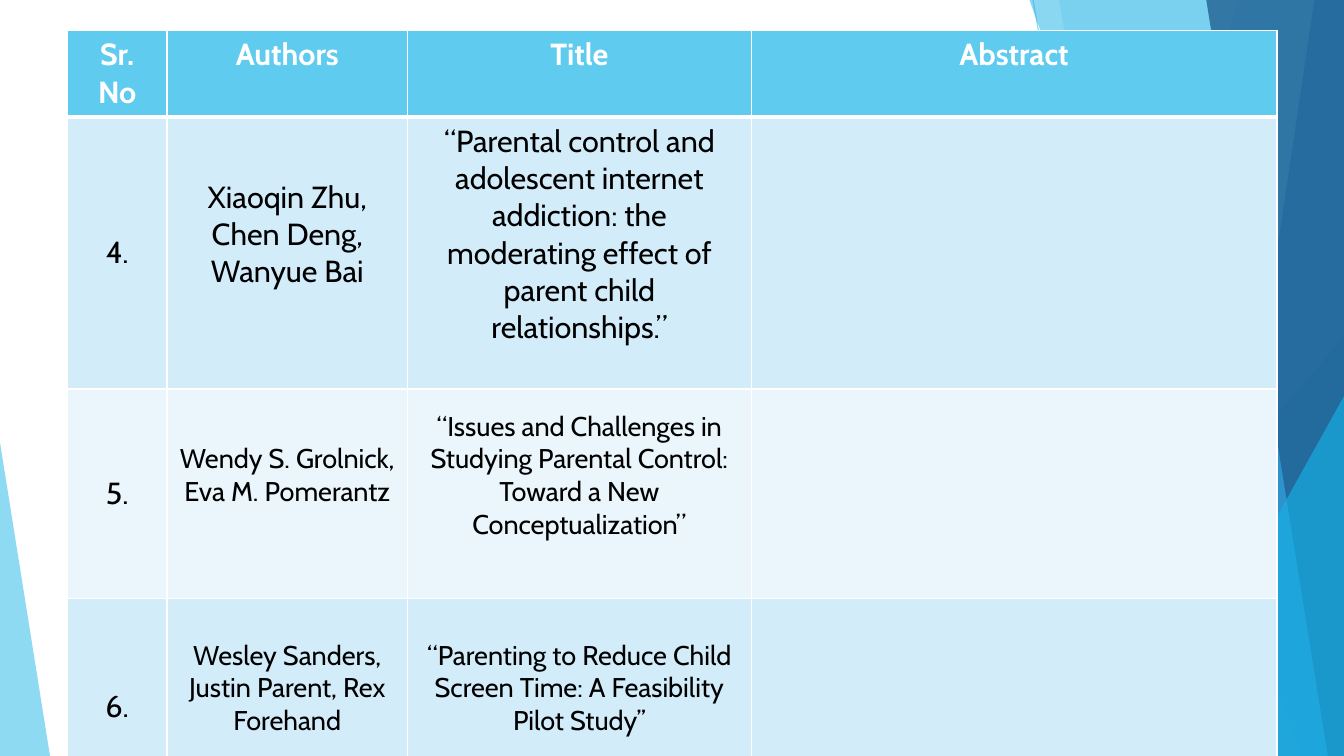
from typing import NamedTuple

from pptx import Presentation
from pptx import util as u
from pptx.dml.color import RGBColor
from pptx.enum import shapes, text
from pptx.oxml.ns import qn
from lxml import etree

SLIDE_WIDTH, SLIDE_HEIGHT = u.Inches(11.02), u.Inches(6.2)
SKY, AZURE, BLUE, NAVY = "5FCBEF", "17B0E4", "2E83C3", "226292"
WHITE, BLACK = "FFFFFF", "000000"
BODY_FILLS = ("D2ECF9", "EAF6FC")
FONT = "Cabin"


# Places and sizes are percentages of the slide's width and height
class Ray(NamedTuple):
    start: tuple[float, float]
    end: tuple[float, float]


class Band(NamedTuple):
    """Full-height strip from a slanted left edge to the slide's right edge."""
    top: float
    bottom: float
    color: str
    opacity: int


class Wedge(NamedTuple):
    left: float
    top: float
    width: float
    apex: float
    color: str
    opacity: int


class Paper(NamedTuple):
    number: str
    authors: str
    title: str
    size: int


DECORATION = (
    Ray((76.86, 0), (86.93, 100)),
    Ray((100, 53.71), (60.89, 100)),
    Band(92.1, 75.3, SKY, 36),
    Band(78.8, 88.75, SKY, 20),
    Wedge(73.3, 44.5, 26.7, 1, AZURE, 66),
    Band(76.6, 96.8, AZURE, 50),
    Band(97.8, 89.4, BLUE, 70),
    Band(89.75, 98.8, NAVY, 80),
    Wedge(85.1, 52.4, 14.9, 1, AZURE, 66),
    Wedge(0, 58.55, 3.72, 0, SKY, 70),
)

HEADINGS = ("Sr. No", "Authors", "Title", "Abstract")
PAPERS = (
    Paper("4.", "Xiaoqin Zhu, Chen Deng, Wanyue Bai",
          "“Parental control and adolescent internet addiction: the moderating "
          "effect of parent child relationships.”", 18),
    Paper("5.", "Wendy S. Grolnick, Eva M. Pomerantz",
          "“Issues and Challenges in Studying Parental Control: Toward a New "
          "Conceptualization”", 16),
    Paper("6.", "Wesley Sanders, Justin Parent, Rex Forehand",
          "“Parenting to Reduce Child Screen Time: A Feasibility Pilot Study’’", 16),
)
TABLE_LEFT, TABLE_TOP = 5, 4
COLUMN_WIDTHS = (7.44, 17.88, 25.59, 39.1)
ROW_HEIGHTS = (11.45, 35.97, 27.74, 28.55)


def across(percent: float) -> int:
    return round(SLIDE_WIDTH * percent / 100)


def down(percent: float) -> int:
    return round(SLIDE_HEIGHT * percent / 100)


def rgb(color: str) -> RGBColor:
    return RGBColor.from_string(color)


def set_opacity(properties, opacity: int) -> None:
    color = next(properties.iter(qn("a:srgbClr")))
    etree.SubElement(color, qn("a:alpha"), val=str(opacity * 1000))


def paint(shape, color: str, opacity: int) -> None:
    shape.shadow.inherit = False
    shape.fill.solid()
    shape.fill.fore_color.rgb = rgb(color)
    shape.line.fill.background()
    set_opacity(shape._element.spPr, opacity)


def draw_ray(slide, ray: Ray) -> None:
    (x1, y1), (x2, y2) = ray
    line = slide.shapes.add_connector(
        shapes.MSO_CONNECTOR.STRAIGHT, across(x1), down(y1), across(x2), down(y2))
    line.line.color.rgb = rgb(SKY)
    line.line.width = u.Pt(0.75)
    properties = line._element.spPr
    set_opacity(properties, 70)
    etree.SubElement(properties, qn("a:effectLst"))


def draw_band(slide, band: Band) -> None:
    builder = slide.shapes.build_freeform(across(band.top), 0)
    builder.add_line_segments([
        (SLIDE_WIDTH, 0), (SLIDE_WIDTH, SLIDE_HEIGHT),
        (across(band.bottom), SLIDE_HEIGHT)])
    paint(builder.convert_to_shape(), band.color, band.opacity)


def draw_wedge(slide, wedge: Wedge) -> None:
    shape = slide.shapes.add_shape(
        shapes.MSO_SHAPE.ISOSCELES_TRIANGLE, across(wedge.left), down(wedge.top),
        across(wedge.width), down(100 - wedge.top))
    shape.adjustments[0] = wedge.apex
    paint(shape, wedge.color, wedge.opacity)


def style_cell(cell, fill: str, top: int = 1, bottom: int = 1) -> None:
    properties = cell._tc.get_or_add_tcPr()
    for side, width in (("L", 1), ("R", 1), ("T", top), ("B", bottom)):
        line = etree.SubElement(properties, qn(f"a:ln{side}"), w=str(u.Pt(width)))
        solid = etree.SubElement(line, qn("a:solidFill"))
        etree.SubElement(solid, qn("a:srgbClr"), val=WHITE)
    cell.fill.solid()
    cell.fill.fore_color.rgb = rgb(fill)


def write_cell(cell, words: str, size: int, color: str, bold: bool) -> None:
    paragraph = cell.text_frame.paragraphs[0]
    paragraph.alignment = text.PP_ALIGN.CENTER
    run = paragraph.add_run()
    run.text = words
    run.font.name = FONT
    run.font.size = u.Pt(size)
    run.font.bold = bold
    run.font.color.rgb = rgb(color)


def draw_table(slide) -> None:
    table = slide.shapes.add_table(
        len(ROW_HEIGHTS), len(COLUMN_WIDTHS), across(TABLE_LEFT), down(TABLE_TOP),
        across(sum(COLUMN_WIDTHS)), down(sum(ROW_HEIGHTS))).table
    for column, width in zip(table.columns, COLUMN_WIDTHS):
        column.width = across(width)
    for row, height in zip(table.rows, ROW_HEIGHTS):
        row.height = down(height)

    # Header row
    for cell, heading in zip(table.rows[0].cells, HEADINGS):
        style_cell(cell, SKY, bottom=3)
        write_cell(cell, heading, 18, WHITE, True)

    # One row per paper; the abstract stays empty
    for index, paper in enumerate(PAPERS):
        cells = list(table.rows[index + 1].cells)
        for cell in cells:
            style_cell(cell, BODY_FILLS[index % 2], top=1 if index else 3)
            cell.vertical_anchor = text.MSO_ANCHOR.MIDDLE
        write_cell(cells[0], paper.number, 18, BLACK, False)
        for cell, words in zip(cells[1:3], (paper.authors, paper.title)):
            write_cell(cell, words, paper.size, BLACK, False)
            cell.margin_bottom = u.Inches(0.35)


def main() -> None:
    presentation = Presentation()
    presentation.slide_width, presentation.slide_height = SLIDE_WIDTH, SLIDE_HEIGHT
    slide = presentation.slides.add_slide(presentation.slide_layouts[6])
    painters = {Ray: draw_ray, Band: draw_band, Wedge: draw_wedge}
    for part in DECORATION:
        painters[type(part)](slide, part)
    draw_table(slide)
    presentation.save("out.pptx")


if __name__ == "__main__":
    main()
